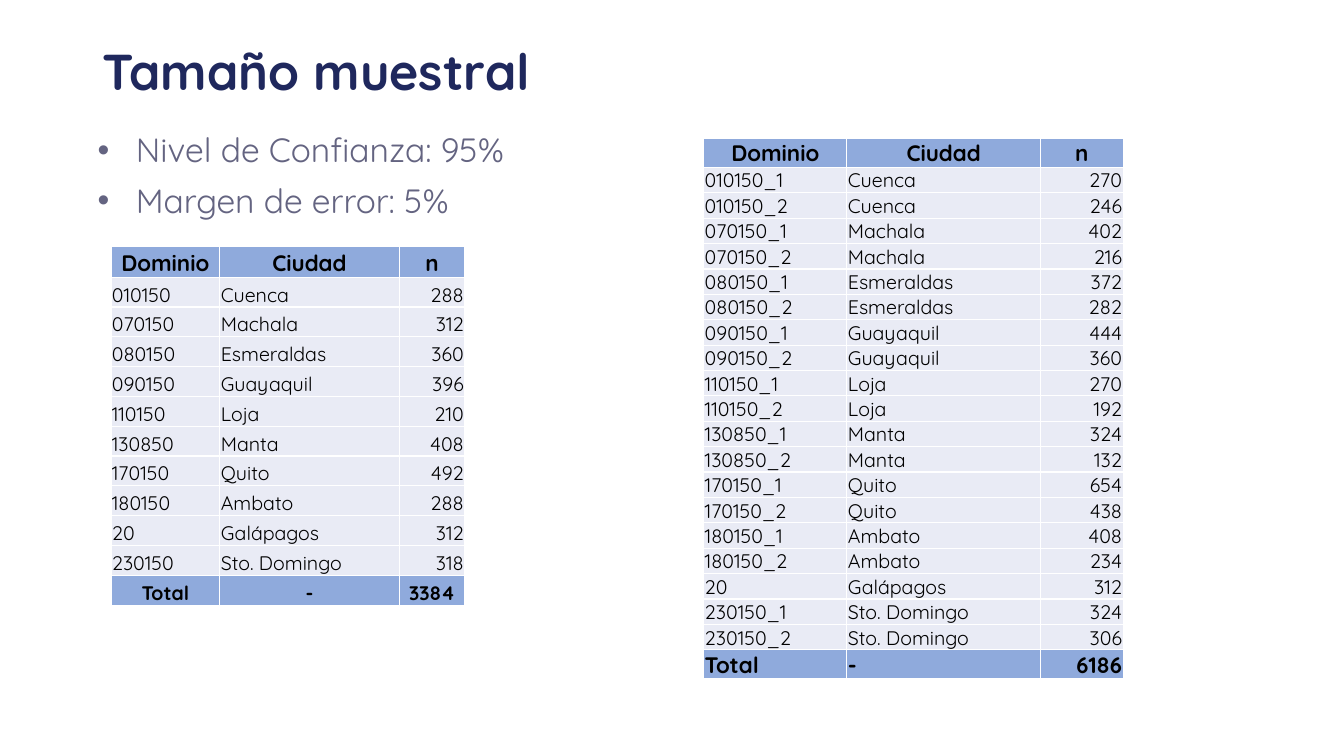
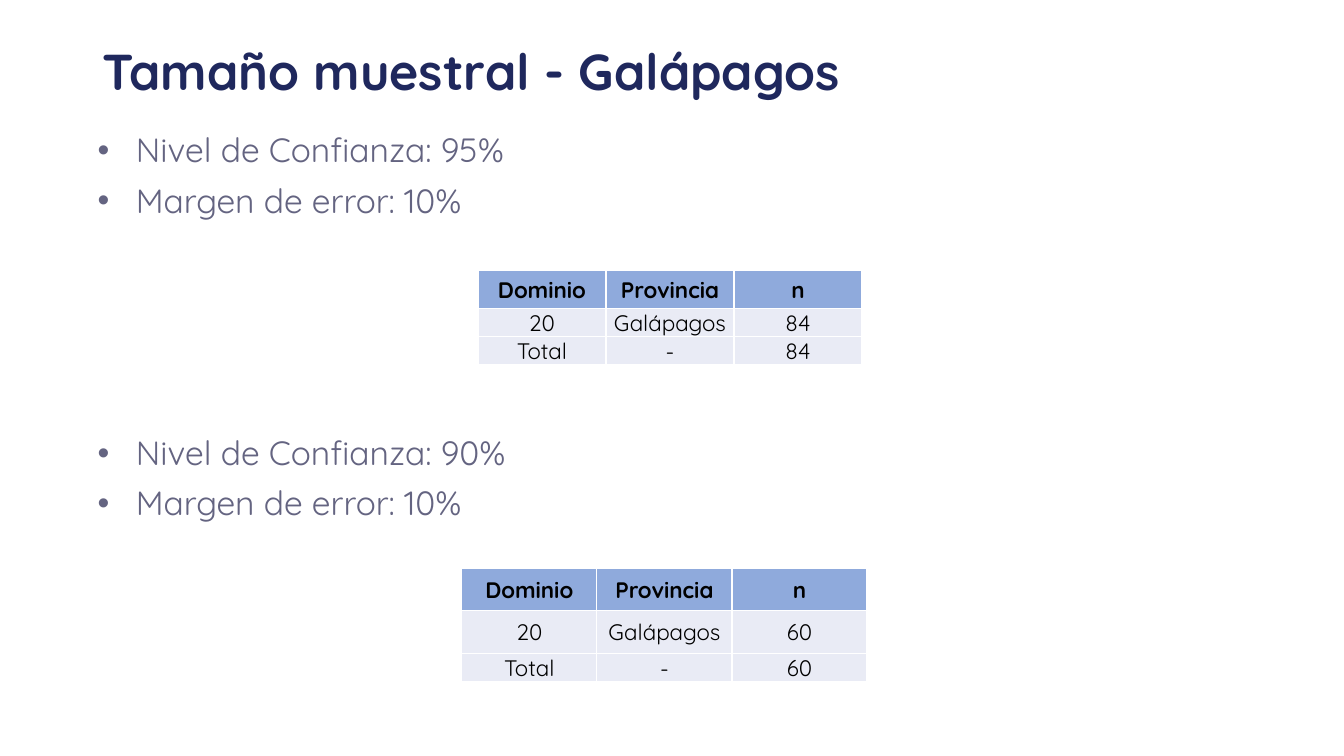
from lxml import etree
from pptx import Presentation
from pptx.dml.color import RGBColor
from pptx.enum.text import MSO_ANCHOR, PP_ALIGN
from pptx.oxml.ns import qn
from pptx.util import Inches, Pt

LEFT, CENTER, RIGHT = PP_ALIGN.LEFT, PP_ALIGN.CENTER, PP_ALIGN.RIGHT
JUSTIFY = PP_ALIGN.JUSTIFY
MIDDLE, BOTTOM = MSO_ANCHOR.MIDDLE, MSO_ANCHOR.BOTTOM

# Shared style
FONT = "Quicksand"
COLORS = {
    "title": "1F285D",
    "body": "646481",
    "cell_text": "000000",
    "band": "8FAADC",
    "row": "E9EBF5",
    "border": "FFFFFF",
}
BLANK_LAYOUT = 6
ALL_CENTERED = (CENTER, CENTER, CENTER)
LABELS_AND_NUMBER = (LEFT, LEFT, RIGHT)

# Code, city, sample size, sample size of each subdomain
CITIES = [
    ("010150", "Cuenca", 288, (270, 246)),
    ("070150", "Machala", 312, (402, 216)),
    ("080150", "Esmeraldas", 360, (372, 282)),
    ("090150", "Guayaquil", 396, (444, 360)),
    ("110150", "Loja", 210, (270, 192)),
    ("130850", "Manta", 408, (324, 132)),
    ("170150", "Quito", 492, (654, 438)),
    ("180150", "Ambato", 288, (408, 234)),
    ("20", "Galápagos", 312, (312,)),
    ("230150", "Sto. Domingo", 318, (324, 306)),
]


def color(name):
    return RGBColor.from_string(COLORS[name])


def format_paragraph(paragraph, size, color_name, bold=False, align=LEFT):
    paragraph.alignment = align
    for run in paragraph.runs:
        run.font.name = FONT
        run.font.size = Pt(size)
        run.font.bold = bold
        run.font.color.rgb = color(color_name)


def add_text_box(slide, left, top, width, height):
    shape = slide.shapes.add_textbox(
        Inches(left), Inches(top), Inches(width), Inches(height))
    shape.text_frame.word_wrap = True
    return shape.text_frame


def add_titled_slide(presentation, title):
    slide = presentation.slides.add_slide(presentation.slide_layouts[BLANK_LAYOUT])
    text_frame = add_text_box(slide, 0.92, 0.37, 9.06, 0.74)
    text_frame.vertical_anchor = MIDDLE
    text_frame.text = title
    paragraph = text_frame.paragraphs[0]
    paragraph.line_spacing = 0.9
    format_paragraph(paragraph, 36, "title", bold=True)
    return slide


def add_bullets(slide, top, confidence, error):
    text_frame = add_text_box(slide, 0.87, top, 11.57, 1.1)
    text_frame.text = f"Nivel de Confianza: {confidence}%\nMargen de error: {error}%"
    for paragraph in text_frame.paragraphs:
        paragraph.line_spacing = 0.9
        paragraph.space_before = Pt(10)
        format_paragraph(paragraph, 24, "body", align=JUSTIFY)
        properties = paragraph._p.get_or_add_pPr()
        properties.set("marL", str(Inches(0.38)))
        properties.set("indent", str(Inches(-0.38)))
        etree.SubElement(properties, qn("a:buFont"), typeface="Arial")
        etree.SubElement(properties, qn("a:buChar"), char="•")


def add_borders(cell):
    properties = cell._tc.get_or_add_tcPr()
    for side in ("a:lnL", "a:lnR", "a:lnT", "a:lnB"):
        line = etree.SubElement(properties, qn(side), w=str(Pt(1)))
        fill = etree.SubElement(line, qn("a:solidFill"))
        etree.SubElement(fill, qn("a:srgbClr"), val=COLORS["border"])


def format_cell(cell, value, size, align, anchor, band):
    """Band cells are bold on the darker fill."""
    cell.margin_left = cell.margin_right = cell.margin_top = Inches(0.01)
    cell.margin_bottom = 0
    cell.vertical_anchor = anchor
    add_borders(cell)
    cell.fill.solid()
    cell.fill.fore_color.rgb = color("band" if band else "row")
    cell.text_frame.text = str(value)
    format_paragraph(cell.text_frame.paragraphs[0], size, "cell_text", band, align)


def add_sample_table(slide, left, top, widths, heights, place, rows, anchor,
                     body_size, body_align, total_size, total_align, total_band):
    total = ("Total", "-", sum(row[2] for row in rows))
    header_style = (16, ALL_CENTERED, True)
    body_style = (body_size, body_align, False)
    total_style = (total_size, total_align, total_band)
    lines = [(("Dominio", place, "n"), header_style)]
    lines += [(row, body_style) for row in rows]
    lines.append((total, total_style))

    table = slide.shapes.add_table(
        len(lines), len(widths), Inches(left), Inches(top),
        Inches(sum(widths)), Inches(sum(heights))).table
    table.first_row = table.horz_banding = False
    for column, width in zip(table.columns, widths):
        column.width = Inches(width)
    for row, height, (values, (size, aligns, band)) in zip(table.rows, heights, lines):
        row.height = Inches(height)
        for cell, value, align in zip(row.cells, values, aligns):
            format_cell(cell, value, size, align, anchor, band)


def add_city_table(slide, left, top, widths, height, end_heights, rows,
                   total_size, total_align):
    header, total = end_heights
    body = (height - header - total) / len(rows)
    heights = [header] + [body] * len(rows) + [total]
    add_sample_table(slide, left, top, widths, heights, "Ciudad", rows, BOTTOM,
                     14, LABELS_AND_NUMBER, total_size, total_align, True)


def add_galapagos_table(slide, left, top, width, heights, sample):
    add_sample_table(slide, left, top, [width] * 3, heights, "Provincia",
                     [("20", "Galápagos", sample)], MIDDLE,
                     16, ALL_CENTERED, 16, ALL_CENTERED, False)


def build_city_slide(presentation):
    slide = add_titled_slide(presentation, "Tamaño muestral")
    add_bullets(slide, 1.28, 95, 5)
    domains = [(code, city, sample) for code, city, sample, _ in CITIES]
    subdomains = [
        (f"{code}_{number}" if len(samples) > 1 else code, city, sample)
        for code, city, _, samples in CITIES
        for number, sample in enumerate(samples, 1)
    ]
    add_city_table(slide, 1.1, 2.44, (1.08, 1.78, 0.65), 3.57, (0.31, 0.3),
                   domains, 14, ALL_CENTERED)
    add_city_table(slide, 6.98, 1.37, (1.42, 1.92, 0.82), 5.37, (0.29, 0.29),
                   subdomains, 16, LABELS_AND_NUMBER)


def build_galapagos_slide(presentation):
    slide = add_titled_slide(presentation, "Tamaño muestral - Galápagos")
    add_bullets(slide, 1.28, 95, 10)
    add_galapagos_table(slide, 4.74, 2.68, 1.27, (0.38, 0.28, 0.28), 84)
    add_bullets(slide, 4.28, 90, 10)
    add_galapagos_table(slide, 4.58, 5.64, 1.34, (0.42, 0.42, 0.28), 60)


def main():
    presentation = Presentation()
    presentation.slide_width = Inches(13.33)
    presentation.slide_height = Inches(7.5)
    build_city_slide(presentation)
    build_galapagos_slide(presentation)
    presentation.save("out.pptx")


if __name__ == "__main__":
    main()
